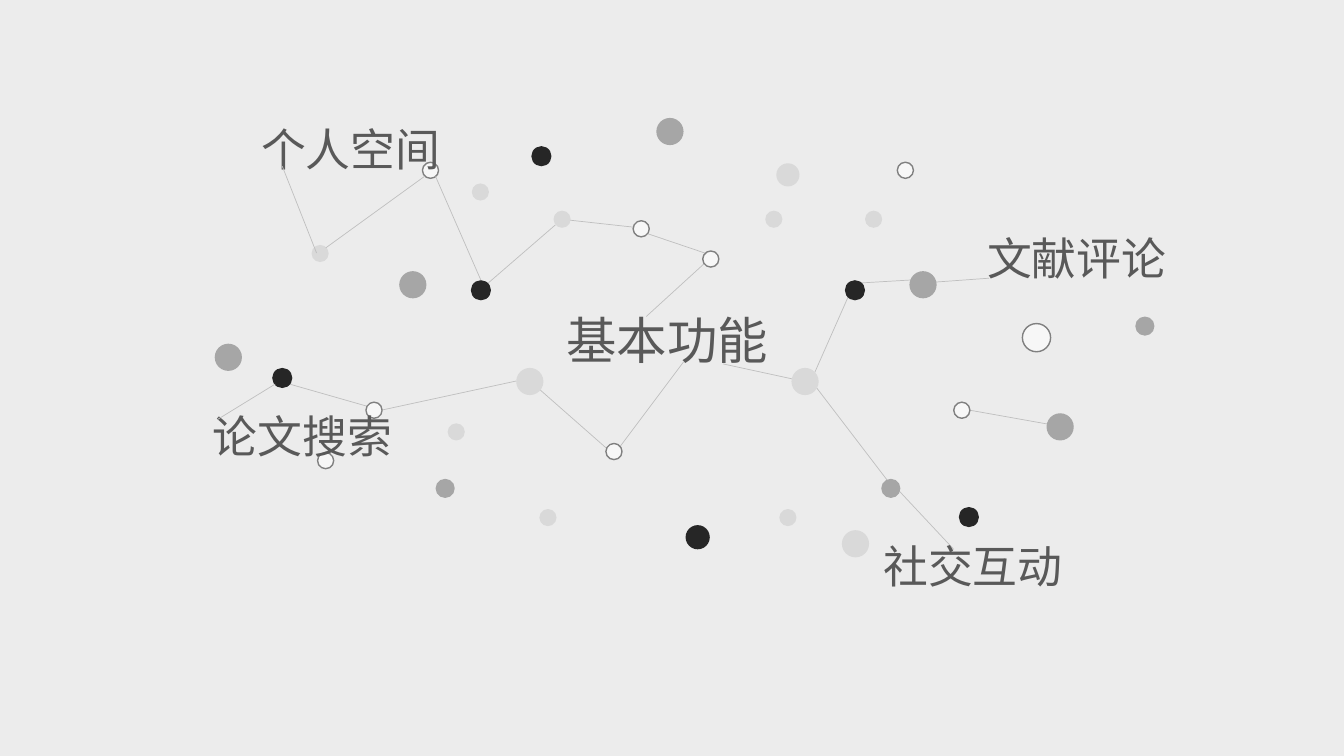
from pptx import Presentation
from pptx.dml.color import RGBColor
from pptx.enum.shapes import MSO_CONNECTOR, MSO_SHAPE
from pptx.enum.text import MSO_AUTO_SIZE, PP_ALIGN
from pptx.oxml import parse_xml
from pptx.util import Pt

STRAIGHT = MSO_CONNECTOR.STRAIGHT
OVAL = MSO_SHAPE.OVAL
FIT_SHAPE = MSO_AUTO_SIZE.SHAPE_TO_FIT_TEXT
CENTER, LEFT = PP_ALIGN.CENTER, PP_ALIGN.LEFT

PX = 9144  # 100 px to the inch
COLORS = {
    "background": "ECECEC",
    "link": "BFBFBF",
    "text": "595959",
    "outline": "808080",
    "white": "F7F7F7",
    "light": "D9D9D9",
    "grey": "A6A6A6",
    "black": "262626",
}
EFFECT_LIST = (
    '<a:effectLst xmlns:a="http://schemas.openxmlformats.org/drawingml/2006/main"/>'
)


def color(name):
    return RGBColor.from_string(COLORS[name])


def add_links(slide, links):
    for ends in links:
        link = slide.shapes.add_connector(STRAIGHT, *(end * PX for end in ends))
        link.line.color.rgb = color("link")
        link.line.width = Pt(0.5)
        link._element.spPr.append(parse_xml(EFFECT_LIST))


presentation = Presentation()
presentation.slide_width = 1333 * PX
presentation.slide_height = 750 * PX
slide = presentation.slides.add_slide(presentation.slide_layouts[6])
slide.background.fill.solid()
slide.background.fill.fore_color.rgb = color("background")

# Links behind the dots: x1, y1, x2, y2
add_links(slide, [
    (841, 295, 807, 372), (917, 277, 849, 281), (912, 281, 981, 276),
    (378, 407, 512, 378), (287, 381, 371, 405), (603, 446, 520, 373),
    (615, 443, 678, 359), (710, 251, 641, 314), (717, 361, 800, 379),
    (962, 407, 1052, 423), (888, 483, 946, 545), (885, 483, 804, 377),
    (552, 217, 643, 227), (551, 223, 484, 281), (628, 227, 699, 251),
])

# Dots by fill and diameter: left, top of each
dots = [
    ("grey", 27, [(902, 269), (1038, 410), (213, 341), (396, 269), (651, 117)]),
    ("grey", 19, [(1126, 314), (874, 475), (432, 475)]),
    ("black", 20, [(838, 278), (951, 503), (527, 145), (467, 278), (270, 365)]),
    ("black", 24, [(680, 521)]),
    ("light", 17, [(858, 209), (759, 209), (773, 505), (309, 243), (468, 182),
                   (549, 209), (535, 505), (444, 420)]),
    ("light", 23, [(770, 162)]),
    ("light", 27, [(785, 365), (835, 526), (512, 365)]),
    ("white", 16, [(946, 399), (890, 161), (697, 249), (363, 399), (419, 161),
                   (628, 219), (601, 440), (315, 449)]),
    ("white", 28, [(1014, 321)]),
]
for fill, diameter, places in dots:
    for left, top in places:
        dot = slide.shapes.add_shape(
            OVAL, left * PX, top * PX, diameter * PX, diameter * PX)
        dot.shadow.inherit = False
        dot.fill.solid()
        dot.fill.fore_color.rgb = color(fill)
        if fill == "white":
            dot.line.color.rgb = color("outline")
            dot.line.width = Pt(1)
        else:
            dot.line.fill.background()

# Links in front of the dots
add_links(slide, [(323, 246, 421, 175), (477, 278, 432, 175)])

labels = [
    ("个人空间", 177, 116, 342, 64, 32, CENTER),
    ("论文搜索", 129, 401, 342, 64, 32, CENTER),
    ("文献评论", 897, 224, 342, 64, 32, CENTER),
    ("社交互动", 794, 530, 342, 64, 32, CENTER),
    ("基本功能", 552, 302, 226, 71, 36, LEFT),
]
for text, left, top, width, height, size, alignment in labels:
    label = slide.shapes.add_textbox(left * PX, top * PX, width * PX, height * PX)
    text_frame = label.text_frame
    text_frame.word_wrap = True
    text_frame.auto_size = FIT_SHAPE
    text_frame.text = text
    paragraph = text_frame.paragraphs[0]
    paragraph.alignment = alignment
    font = paragraph.runs[0].font
    font.name = "Arial"
    font.size = Pt(size)
    font.color.rgb = color("text")

# Links in front of the labels
add_links(slide, [(216, 416, 273, 381), (314, 251, 280, 165)])

presentation.save("out.pptx")
